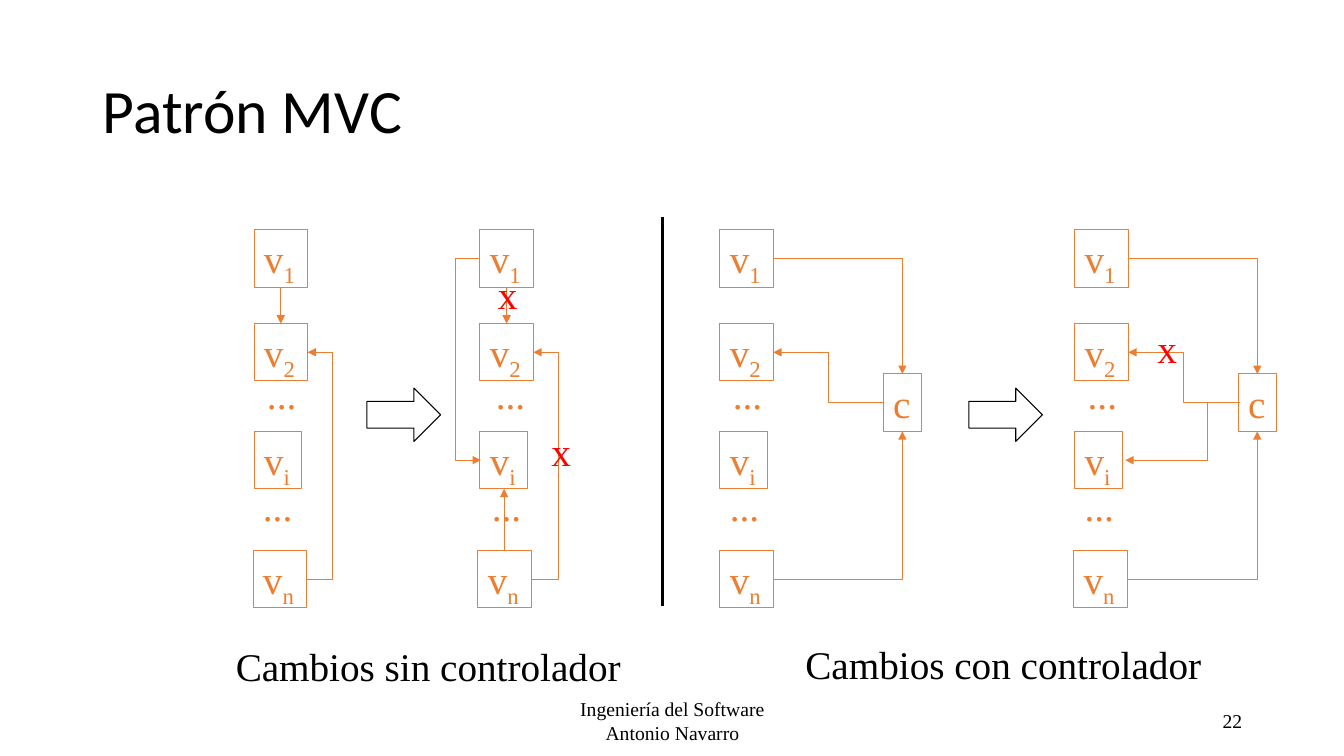
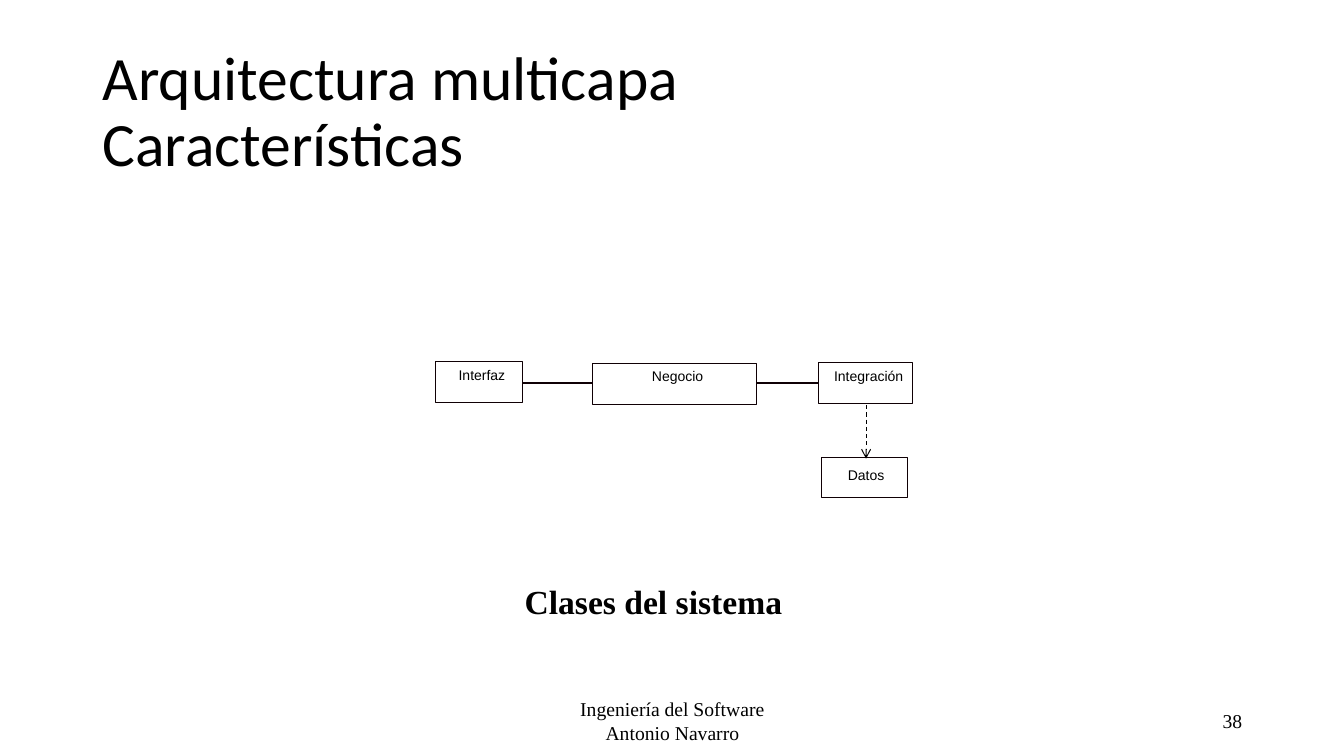
from dataclasses import dataclass

from lxml import etree
from pptx import Presentation
from pptx import util as u
from pptx.dml.color import RGBColor
from pptx.enum import dml, shapes, text
from pptx.oxml import ns


@dataclass(frozen=True)
class Style:
    font: str
    size: int
    color: str
    bold: bool = False


class Theme:
    black, orange, red, plum = "000000", "ED7D31", "FF0000", "0F0005"
    serif = "Times New Roman"
    title = Style("Calibri", 44, black)
    foot = Style(serif, 14, black)
    node = Style(serif, 28, orange)
    cross = Style(serif, 28, red)
    caption = Style(serif, 28, black)
    head = Style(serif, 24, black, True)
    label = Style("Arial", 10, black)
    thin, bar, hair = 0.75, 2, 0


FOOTER = ["Ingeniería del Software", "Antonio Navarro"]
PAD = (0.1, 0.05, 0.1, 0.05)
LEFT, MID, RIGHT = text.PP_ALIGN.LEFT, text.PP_ALIGN.CENTER, text.PP_ALIGN.RIGHT

HIGH, WIDE = 0.57, 0.53
TOPS = {"1": 2.28, "2": 3.21, "i": 4.28, "n": 5.46}
DOT_TOPS = (3.62, 4.74)
COLUMNS = [
    {"x": 2.52, "last": 2.51, "dots": (2.55, 2.51), "hub": False},
    {"x": 4.76, "last": 4.74, "dots": (4.82, 4.78), "hub": False},
    {"x": 7.14, "last": 7.14, "dots": (7.17, 7.14), "hub": True},
    {"x": 10.66, "last": 10.65, "dots": (10.69, 10.66), "hub": True},
]
CROSSES = [(5.37, 4.19), (4.84, 2.63), (11.38, 3.17)]
ARROWS = [3.64, 9.61]
CAPTIONS = [
    ("Cambios sin controlador", (2.24, 6.32, 4.06, HIGH)),
    ("Cambios con controlador", (7.89, 6.3, 4.17, HIGH)),
]

LAYERS = [
    ("Interfaz", (4.32, 3.59, 0.86, 0.4), (0.06, 0.05)),
    ("Negocio", (5.88, 3.61, 1.62, 0.4), (0.06, 0.04)),
    ("Integración", (8.12, 3.6, 0.93, 0.4), (0.06, 0.05)),
    ("Datos", (8.15, 4.54, 0.85, 0.4), (0.03, 0.09)),
]


def inches(vals):
    return [u.Inches(v) for v in vals]


def paint(line, color, width):
    line.color.rgb = RGBColor.from_string(color)
    line.width = u.Pt(width)


def write(shape, paras, style, align=LEFT, pad=PAD, middle=False, wrap=False, space=None):
    frame = shape.text_frame
    frame.word_wrap = wrap
    frame.auto_size = text.MSO_AUTO_SIZE.NONE
    frame.vertical_anchor = text.MSO_ANCHOR.MIDDLE if middle else text.MSO_ANCHOR.TOP
    (frame.margin_left, frame.margin_top,
     frame.margin_right, frame.margin_bottom) = inches(pad)
    for i, parts in enumerate(paras):
        para = frame.paragraphs[0] if i == 0 else frame.add_paragraph()
        para.alignment = align
        para.line_spacing = space
        for part in parts:
            if part == "\n":
                para.add_line_break()
                continue
            run = para.add_run()
            run.text = part.lstrip("_")
            font = run.font
            font.name, font.size, font.bold = style.font, u.Pt(style.size), style.bold
            font.color.rgb = RGBColor.from_string(style.color)
            if part.startswith("_"):
                run._r.get_or_add_rPr().set("baseline", "-25000")


def put(slide, at, paras, style, **opts):
    box = slide.shapes.add_textbox(*inches(at))
    write(box, paras, style, **opts)


def outline(slide, kind, at, color, width):
    shape = slide.shapes.add_shape(kind, *inches(at))
    shape.shadow.inherit = False
    shape.fill.background()
    paint(shape.line, color, width)
    return shape


def link(slide, start, end, color, width, tip=None, dash=False, bend=None, corner=False):
    bent = corner or bend is not None
    kind = shapes.MSO_CONNECTOR.ELBOW if bent else shapes.MSO_CONNECTOR.STRAIGHT
    line = slide.shapes.add_connector(kind, *inches(start + end))
    paint(line.line, color, width)
    props = line._element.spPr
    if dash:
        line.line.dash_style = dml.MSO_LINE.DASH
    if tip:
        etree.SubElement(line.line._get_or_add_ln(), ns.qn("a:tailEnd"), type=tip)
    etree.SubElement(props, ns.qn("a:effectLst"))
    geom = props.find(ns.qn("a:prstGeom"))
    if corner:
        geom.set("prst", "bentConnector2")
    if bend is not None:
        ratio = round((bend - start[0]) / (end[0] - start[0]) * 100000)
        guides = geom.find(ns.qn("a:avLst"))
        if guides is None:
            guides = etree.SubElement(geom, ns.qn("a:avLst"))
        etree.SubElement(guides, ns.qn("a:gd"), name="adj1", fmla=f"val {ratio}")
    if bent and end[0] < start[0]:
        frame = props.find(ns.qn("a:xfrm"))
        frame.set("rot", "10800000")
        frame.set("flipH", "0")
        frame.set("flipV", "0" if end[1] < start[1] else "1")


def base(deck, title, number):
    slide = deck.slides.add_slide(deck.slide_layouts[6])
    put(slide, (0.92, 0.4, 11.5, 1.45), [title], Theme.title,
        middle=True, wrap=True, space=0.9)
    put(slide, (4.42, 6.95, 4.5, 0.4), [[row] for row in FOOTER], Theme.foot,
        align=MID, middle=True, wrap=True)
    put(slide, (9.42, 6.95, 3, 0.4), [[number]], Theme.foot,
        align=RIGHT, middle=True, wrap=True)
    return slide


def node(slide, at, parts):
    box = outline(slide, shapes.MSO_SHAPE.RECTANGLE, at, Theme.orange, Theme.thin)
    write(box, [parts], Theme.node)


def wire(slide, start, end, **opts):
    link(slide, start, end, Theme.orange, Theme.thin, tip="triangle", **opts)


def column(slide, col):
    x = col["x"]
    for key, top in TOPS.items():
        left = col["last"] if key == "n" else x
        node(slide, (left, top, 0.47 if key == "i" else WIDE, HIGH), ["v", "_" + key])
    for left, top in zip(col["dots"], DOT_TOPS):
        put(slide, (left, top, 0.5, HIGH), [["..."]], Theme.node)
    mids = {key: top + HIGH / 2 for key, top in TOPS.items()}
    edge, last = x + WIDE, col["last"] + WIDE
    if col["hub"]:
        hub, top = x + 1.62, 3.71
        axis, mid = hub + 0.19, top + HIGH / 2
        node(slide, (hub, top, 0.38, HIGH), ["c"])
        wire(slide, (edge, mids["1"]), (axis, top), corner=True)
        wire(slide, (last, mids["n"]), (axis, top + HIGH), corner=True)
        wire(slide, (hub, mid), (edge, mids["2"]), bend=(hub + edge) / 2)
    else:
        axis = x + WIDE / 2
        wire(slide, (axis, TOPS["1"] + HIGH), (axis, TOPS["2"]))
        wire(slide, (last, mids["n"]), (edge, mids["2"]), bend=edge + 0.25)
    return mids


def views(deck):
    slide = base(deck, ["Patrón MVC"], "22")
    for col in COLUMNS:
        mids = column(slide, col)
    wire(slide, (5, TOPS["n"]), (5, TOPS["i"] + HIGH))
    wire(slide, (4.76, mids["1"]), (4.77, mids["i"]), bend=4.51)
    wire(slide, (12.3, 3.99), (11.16, mids["i"]), bend=11.98)
    for at in CROSSES:
        put(slide, at + (0.4, HIGH), [["x"]], Theme.cross)
    for left in ARROWS:
        outline(slide, shapes.MSO_SHAPE.RIGHT_ARROW, (left, 3.85, 0.73, 0.53),
                Theme.black, Theme.thin)
    for words, at in CAPTIONS:
        put(slide, at, [[words]], Theme.caption)
    link(slide, (6.57, 2.15), (6.57, 6.01), Theme.black, Theme.bar)


def layers(deck):
    slide = base(deck, ["Arquitectura multicapa", "\n", "Características"], "38")
    for name, at, (left, top) in LAYERS:
        box = outline(slide, shapes.MSO_SHAPE.RECTANGLE, at, Theme.plum, Theme.hair)
        write(box, [[name]], Theme.label, align=MID, pad=(left, top, 0, 0))
    row = [at for name, at, pad in LAYERS[:3]]
    for one, two in zip(row, row[1:]):
        link(slide, (one[0] + one[2], 3.8), (two[0], 3.8), Theme.plum, Theme.hair)
    link(slide, (8.59, 4.02), (8.59, 4.55), Theme.black, Theme.thin, tip="arrow", dash=True)
    put(slide, (5.09, 5.71, 2.78, 0.51), [["Clases del sistema"]], Theme.head, align=MID)


def main():
    deck = Presentation()
    deck.slide_width, deck.slide_height = inches((13.33, 7.5))
    views(deck)
    layers(deck)
    deck.save("out.pptx")


if __name__ == "__main__":
    main()
